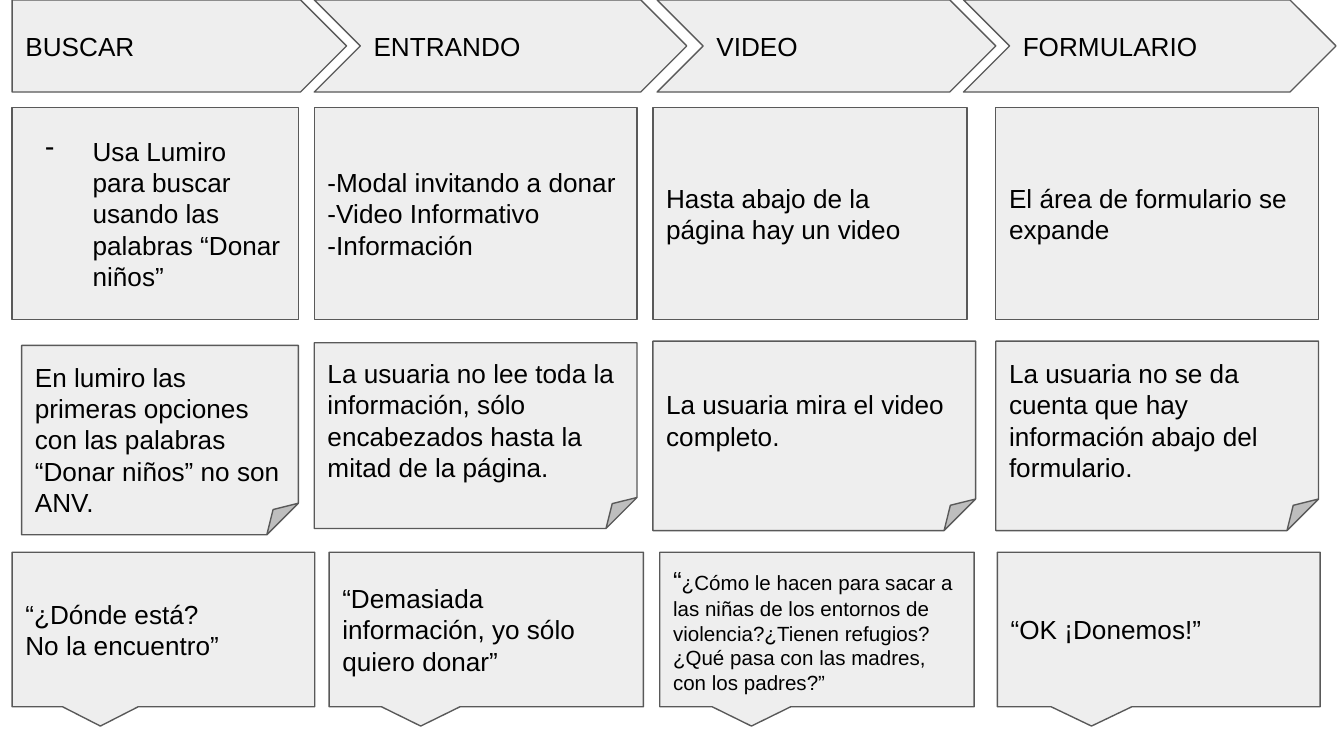
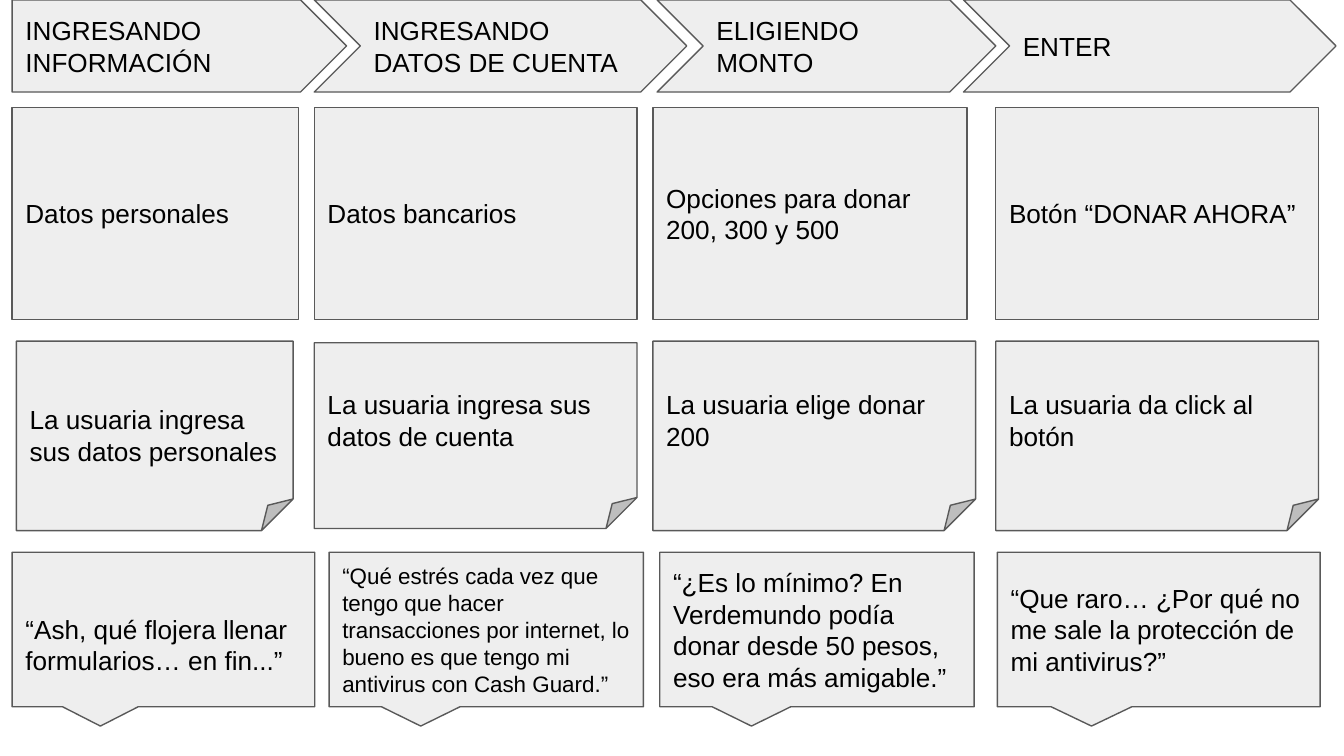
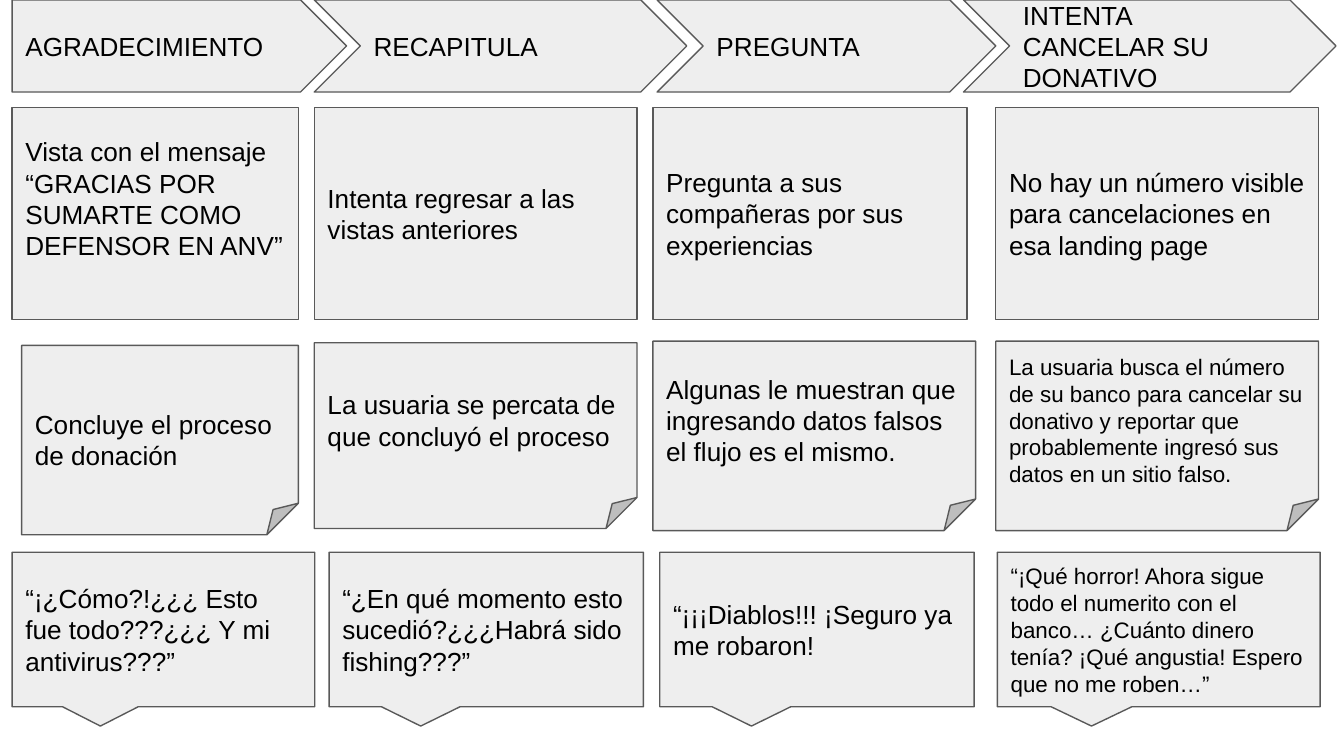
import dataclasses

import lxml.etree
import pptx
import pptx.dml.color
import pptx.enum.shapes
import pptx.enum.text
import pptx.oxml.ns
import pptx.util

Cm = pptx.util.Cm
Pt = pptx.util.Pt
Shape = pptx.enum.shapes.MSO_SHAPE

PANEL = pptx.dml.color.RGBColor(0xEE, 0xEE, 0xEE)
OUTLINE = pptx.dml.color.RGBColor(0x59, 0x59, 0x59)
INK = pptx.dml.color.RGBColor(0, 0, 0)
FONT = "Arial"
INSET = 0.25
LINE_HEIGHT = 0.57


@dataclasses.dataclass
class Text:
    """Panel text; opening is a first run kept at the normal size."""
    lines: list
    size: int = 14
    opening: str = ""
    dashed: bool = False
    lowered: bool = False
    raised: bool = False


@dataclasses.dataclass
class Journey:
    """Four texts for each row; note_shift moves the first note (x, y)."""
    stages: list
    actions: list
    notes: list
    quotes: list
    note_shift: tuple = (0, 0)


JOURNEYS = [
    Journey(
        stages=["BUSCAR", "ENTRANDO", "VIDEO", "FORMULARIO"],
        actions=[
            Text(["Usa Lumiro para buscar usando las palabras “Donar niños”"], dashed=True),
            Text(["-Modal invitando a donar", "-Video Informativo", "-Información"]),
            "Hasta abajo de la página hay un video",
            "El área de formulario se expande",
        ],
        notes=[
            Text(["En lumiro las primeras opciones con las palabras “Donar niños” no son ANV."],
                 lowered=True),
            "La usuaria no lee toda la información, sólo encabezados hasta la mitad de la página.",
            "La usuaria mira el video completo.",
            "La usuaria no se da cuenta que hay información abajo del formulario.",
        ],
        quotes=[
            Text(["“¿Dónde está?", "No la encuentro”"]),
            "“Demasiada información, yo sólo quiero donar”",
            Text(["¿Cómo le hacen para sacar a las niñas de los entornos de violencia?"
                  "¿Tienen refugios?¿Qué pasa con las madres, con los padres?”"],
                 size=11, opening="“"),
            "“OK ¡Donemos!”",
        ],
    ),
    Journey(
        stages=["INGRESANDO INFORMACIÓN", "INGRESANDO DATOS DE CUENTA",
                "ELIGIENDO MONTO", "ENTER"],
        actions=["Datos personales", "Datos bancarios",
                 "Opciones para donar 200, 300 y 500", "Botón “DONAR AHORA”"],
        notes=[
            Text(["La usuaria ingresa sus datos personales"], lowered=True),
            "La usuaria ingresa sus datos de cuenta",
            "La usuaria elige donar 200",
            "La usuaria da click al botón",
        ],
        quotes=[
            Text(["“Ash, qué flojera llenar formularios… en fin...”"], lowered=True),
            Text(["“Qué estrés cada vez que tengo que hacer transacciones por internet, "
                  "lo bueno es que tengo mi antivirus con Cash Guard.”"], size=12),
            "“¿Es lo mínimo? En Verdemundo podía donar desde 50 pesos, eso era más amigable.”",
            "“Que raro… ¿Por qué no me sale la protección de mi antivirus?”",
        ],
        note_shift=(-0.1, -0.08),
    ),
    Journey(
        stages=["AGRADECIMIENTO", "RECAPITULA", "PREGUNTA", "INTENTA CANCELAR SU DONATIVO"],
        actions=[
            Text(["Vista con el mensaje “GRACIAS POR SUMARTE COMO DEFENSOR EN ANV”"],
                 raised=True),
            "Intenta regresar a las vistas anteriores",
            "Pregunta a sus compañeras por sus experiencias",
            "No hay un número visible para cancelaciones en esa landing page",
        ],
        notes=[
            Text(["Concluye el proceso de donación"], lowered=True),
            "La usuaria se percata de que concluyó el proceso",
            "Algunas le muestran que ingresando datos falsos el flujo es el mismo.",
            Text(["La usuaria busca el número de su banco para cancelar su donativo y "
                  "reportar que probablemente ingresó sus datos en un sitio falso."], size=12),
        ],
        quotes=[
            "“¡¿Cómo?!¿¿¿ Esto fue todo???¿¿¿ Y mi antivirus???”",
            "“¿En qué momento esto sucedió?¿¿¿Habrá sido fishing???”",
            "“¡¡¡Diablos!!! ¡Seguro ya me robaron!",
            Text(["“¡Qué horror! Ahora sigue todo el numerito con el banco… ¿Cuánto dinero "
                  "tenía? ¡Qué angustia! Espero que no me roben…”"], size=12),
        ],
    ),
]


def add_dash(para):
    properties = para._p.get_or_add_pPr()
    properties.set("marL", str(Cm(1.27)))
    properties.set("indent", str(Cm(-0.89)))
    colour = lxml.etree.SubElement(properties, pptx.oxml.ns.qn("a:buClr"))
    lxml.etree.SubElement(colour, pptx.oxml.ns.qn("a:srgbClr"), val=str(INK))
    lxml.etree.SubElement(properties, pptx.oxml.ns.qn("a:buChar"), char="-")


def add_span(para, words, size):
    span = para.add_run()
    span.text = words
    span.font.name = FONT
    span.font.size = Pt(size)
    span.font.color.rgb = INK


def write(frame, text):
    frame.word_wrap = True
    frame.vertical_anchor = pptx.enum.text.MSO_ANCHOR.MIDDLE
    frame.margin_left = frame.margin_right = Cm(INSET)
    frame.margin_top = Cm(INSET + LINE_HEIGHT * text.lowered)
    frame.margin_bottom = Cm(INSET + LINE_HEIGHT * text.raised)
    for number, line in enumerate(text.lines):
        para = frame.add_paragraph() if number else frame.paragraphs[0]
        para.alignment = pptx.enum.text.PP_ALIGN.LEFT
        if text.dashed:
            add_dash(para)
        if text.opening and number == 0:
            add_span(para, text.opening, 14)
        add_span(para, line, text.size)


def add_panel(page, kind, box, text):
    panel = page.shapes.add_shape(kind, *(Cm(length) for length in box))
    panel.shadow.inherit = False
    panel.fill.solid()
    panel.fill.fore_color.rgb = PANEL
    panel.line.color.rgb = OUTLINE
    panel.line.width = Pt(0.75)
    write(panel.text_frame, text if isinstance(text, Text) else Text([text]))


def add_stages(page, texts):
    columns = [(0.23, 6.32), (5.94, 7.04), (12.42, 6.4), (18.21, 7.04)]
    kinds = [Shape.PENTAGON] + [Shape.CHEVRON] * 3
    for kind, (left, width), text in zip(kinds, columns, texts):
        add_panel(page, kind, (left, 0, width, 1.74), text)


def add_actions(page, texts):
    columns = [(0.23, 5.41), (5.94, 6.1), (12.34, 5.94), (18.82, 6.1)]
    for (left, width), text in zip(columns, texts):
        add_panel(page, Shape.RECTANGLE, (left, 2.03, width, 4.01), text)


def add_notes(page, texts, shift):
    boxes = [(0.41 + shift[0], 6.53 + shift[1], 5.23, 3.58), (5.94, 6.48, 6.1, 3.51),
             (12.34, 6.45, 6.1, 3.58), (18.82, 6.45, 6.1, 3.58)]
    for box, text in zip(boxes, texts):
        add_panel(page, Shape.FOLDED_CORNER, box, text)


def add_quotes(page, texts):
    columns = [(0.23, 5.72), (6.22, 5.94), (12.47, 5.94), (18.85, 6.1)]
    for (left, width), text in zip(columns, texts):
        add_panel(page, Shape.RECTANGULAR_CALLOUT, (left, 10.44, width, 2.92), text)


def add_journey(deck, journey):
    page = deck.slides.add_slide(deck.slide_layouts[6])
    add_stages(page, journey.stages)
    add_actions(page, journey.actions)
    add_quotes(page, journey.quotes)
    add_notes(page, journey.notes, journey.note_shift)


def main():
    deck = pptx.Presentation()
    deck.slide_width = Cm(25.4)
    deck.slide_height = Cm(14.29)
    for journey in JOURNEYS:
        add_journey(deck, journey)
    deck.save("out.pptx")


if __name__ == "__main__":
    main()
